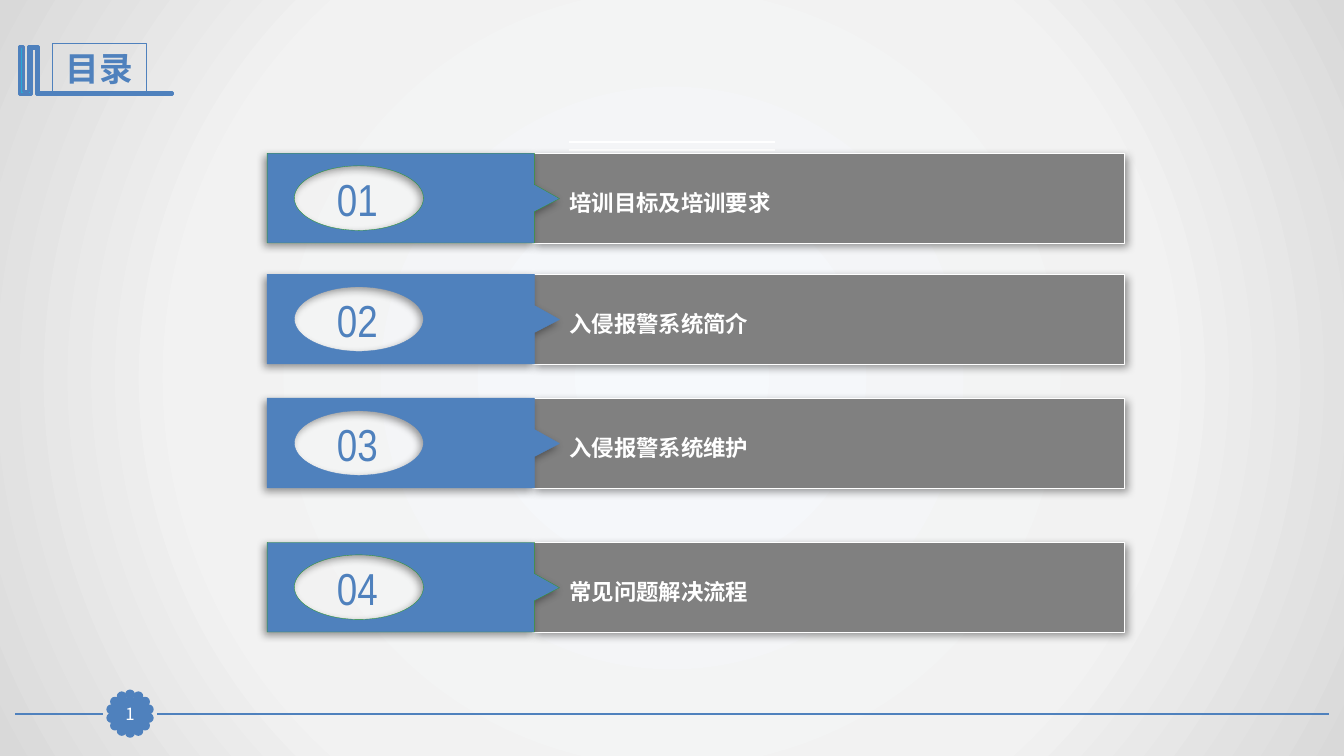
import math

from lxml import etree
from pptx import Presentation
from pptx.dml.color import RGBColor
from pptx.enum.shapes import MSO_CONNECTOR, MSO_SHAPE
from pptx.enum.text import MSO_ANCHOR, PP_ALIGN
from pptx.oxml import parse_xml
from pptx.oxml.ns import qn
from pptx.util import Inches, Pt

RECT, OVAL = MSO_SHAPE.RECTANGLE, MSO_SHAPE.OVAL
STRAIGHT = MSO_CONNECTOR.STRAIGHT
LEFT, CENTER = PP_ALIGN.LEFT, PP_ALIGN.CENTER
TOP, MIDDLE = MSO_ANCHOR.TOP, MSO_ANCHOR.MIDDLE

BLUE, GREEN, GRAY, WHITE = "4F81BD", "339933", "808080", "FFFFFF"
NS = ('xmlns:a="http://schemas.openxmlformats.org/drawingml/2006/main" '
      'xmlns:p="http://schemas.openxmlformats.org/presentationml/2006/main"')
BACKGROUND_STOPS = [(0, "F6F9FC"), (63, "F2F2F2"), (100, "D9D9D9")]

# top, number, title, outline of the number tag
ROWS = [
    (1.52, "01", "培训目标及培训要求", GREEN),
    (2.72, "02", "入侵报警系统简介", BLUE),
    (3.95, "03", "入侵报警系统维护", BLUE),
    (5.38, "04", "常见问题解决流程", GREEN),
]
BOOK_OUTLINE = [
    (0.18, 0), (0.19, 0), (0.19, 0.46), (1.52, 0.46), (1.52, 0.48), (0.18, 0.48),
    (0.17, 0.48), (0.17, 0.02), (0.12, 0.02), (0.12, 0.48), (0, 0.48), (0, 0),
    (0.04, 0), (0.04, 0.45), (0.09, 0.45), (0.09, 0),
]


def rgb(color):
    return RGBColor.from_string(color)


def style(sp, fill, line, width):
    sp.shadow.inherit = False
    if fill:
        sp.fill.solid()
        sp.fill.fore_color.rgb = rgb(fill)
    else:
        sp.fill.background()
    sp.line.color.rgb = rgb(line)
    sp.line.width = Pt(width)


def add_shape(parent, kind, x, y, w, h, fill, line, width):
    sp = parent.shapes.add_shape(kind, Inches(x), Inches(y), Inches(w), Inches(h))
    style(sp, fill, line, width)
    return sp


def add_outline(parent, points, fill, line, width):
    points = [(Inches(x), Inches(y)) for x, y in points]
    builder = parent.shapes.build_freeform(*points[0], scale=1.0)
    builder.add_line_segments(points[1:], close=True)
    sp = builder.convert_to_shape()
    style(sp, fill, line, width)
    return sp


def cut_oval(sp, cx, cy, rx, ry):
    """Cut an oval hole of four curves, centred at cx, cy within the shape."""
    k = 0.55
    curves = [
        [(-k, -1), (-1, -k), (-1, 0)], [(-1, k), (-k, 1), (0, 1)],
        [(k, 1), (1, k), (1, 0)], [(1, -k), (k, -1), (0, -1)],
    ]
    outline = next(sp._element.iter(qn("a:path")))

    def add_step(tag, points):
        step = etree.SubElement(outline, qn(tag))
        for x, y in points:
            etree.SubElement(step, qn("a:pt"), x=str(Inches(cx + rx * x)),
                             y=str(Inches(cy + ry * y)))

    add_step("a:moveTo", [(0, -1)])
    for curve in curves:
        add_step("a:cubicBezTo", curve)
    etree.SubElement(outline, qn("a:close"))


def add_line(s, x1, x2, y, color, width):
    ln = s.shapes.add_connector(STRAIGHT, Inches(x1), Inches(y), Inches(x2), Inches(y))
    ln.line.color.rgb = rgb(color)
    ln.line.width = Pt(width)
    etree.SubElement(ln._element.spPr, qn("a:effectLst"))


def set_text(sp, text, size, font, color, bold=False, align=CENTER, anchor=MIDDLE):
    tf = sp.text_frame
    tf.word_wrap = True
    tf.vertical_anchor = anchor
    p = tf.paragraphs[0]
    p.text = text
    p.alignment = align
    f = p.runs[0].font
    f.size, f.name, f.bold = Pt(size), font, bold
    f.color.rgb = rgb(color)


def add_text(parent, x, y, w, h, *text, **options):
    sp = parent.shapes.add_textbox(Inches(x), Inches(y), Inches(w), Inches(h))
    set_text(sp, *text, **options)


def cast_shadow(sp, angle):
    effects = sp._element.spPr.find(qn("a:effectLst"))
    effects.append(parse_xml(
        f'<a:outerShdw {NS} blurRad="{Pt(6)}" dist="{Pt(3)}" dir="{angle * 60000}" '
        'algn="ctr" rotWithShape="0"><a:srgbClr val="000000">'
        '<a:alpha val="40000"/></a:srgbClr></a:outerShdw>'))


def paint_background(s):
    stops = "".join(f'<a:gs pos="{pos * 1000}"><a:srgbClr val="{color}"/></a:gs>'
                    for pos, color in BACKGROUND_STOPS)
    s._element.cSld.insert(0, parse_xml(
        f'<p:bg {NS}><p:bgPr><a:gradFill rotWithShape="1"><a:gsLst>{stops}</a:gsLst>'
        '<a:path path="circle"><a:fillToRect l="50000" t="50000" r="50000" b="50000"/>'
        '</a:path></a:gradFill><a:effectLst/></p:bgPr></p:bg>'))


def add_footer(s, cx, cy):
    """Rule across the slide with a scalloped page badge centred at cx, cy."""
    add_line(s, 13.18, cx + 0.27, cy, BLUE, 1.25)
    add_line(s, cx - 0.27, 0.15, cy, BLUE, 1.25)
    badge = s.shapes.add_group_shape()
    petals, radius, size = 14, 0.19, 0.07
    for i in range(petals):
        angle = 2 * math.pi * i / petals
        add_shape(badge, OVAL, cx + radius * math.sin(angle) - size / 2,
                  cy - radius * math.cos(angle) - size / 2, size, size, BLUE, BLUE, 2)
    page = add_shape(s, RECT, cx - 0.16, cy - 0.15, 0.32, 0.31, BLUE, BLUE, 0.75)
    set_text(page, "1", 12, "Noto Sans CJK SC", WHITE)
    tf = page.text_frame
    tf.margin_left = tf.margin_right = tf.margin_top = tf.margin_bottom = 0


def add_heading(s, x, y):
    book = [(x + dx, y + dy) for dx, dy in BOOK_OUTLINE]
    add_outline(s, book, "28A9D6", BLUE, 2)
    box = add_shape(s, RECT, x + 0.33, y - 0.03, 0.93, 0.5, None, BLUE, 0.75)
    set_text(box, "目录", 24, "Arial Narrow", BLUE, bold=True)


def add_row(s, x, y, number, title, outline):
    row = s.shapes.add_group_shape()
    h = 0.89
    bar = add_shape(row, RECT, x + 2.63, y, 5.87, h, GRAY, WHITE, 0.25)
    cast_shadow(bar, 45)

    edge = x + 2.65
    arrow = [(x, y), (edge, y), (edge, y + 0.31), (edge + 0.25, y + 0.45),
             (edge, y + 0.58), (edge, y + h), (x, y + h)]
    tag = add_outline(row, arrow, BLUE, outline, 0.25)
    cut_oval(tag, 0.91, h / 2, 0.64, 0.32)
    cast_shadow(tag, 135)

    add_text(row, x + 0.39, y + 0.13, 1.01, 0.64, number, 32, "Arial Narrow", BLUE)
    add_text(row, x + 2.9, y + 0.31, 5.61, 0.37, title, 16, "Lato", WHITE,
             bold=True, align=LEFT, anchor=TOP)


def main():
    prs = Presentation()
    prs.slide_width, prs.slide_height = Inches(13.33), Inches(7.5)
    s = prs.slides.add_slide(prs.slide_layouts[6])
    paint_background(s)
    add_footer(s, 1.29, 7.08)
    add_heading(s, 0.19, 0.46)
    for y in (1.41, 1.49):
        add_line(s, 5.64, 7.69, y, WHITE, 1.5)
    for top, number, title, outline in ROWS:
        add_row(s, 2.65, top, number, title, outline)
    prs.save("out.pptx")


if __name__ == "__main__":
    main()
